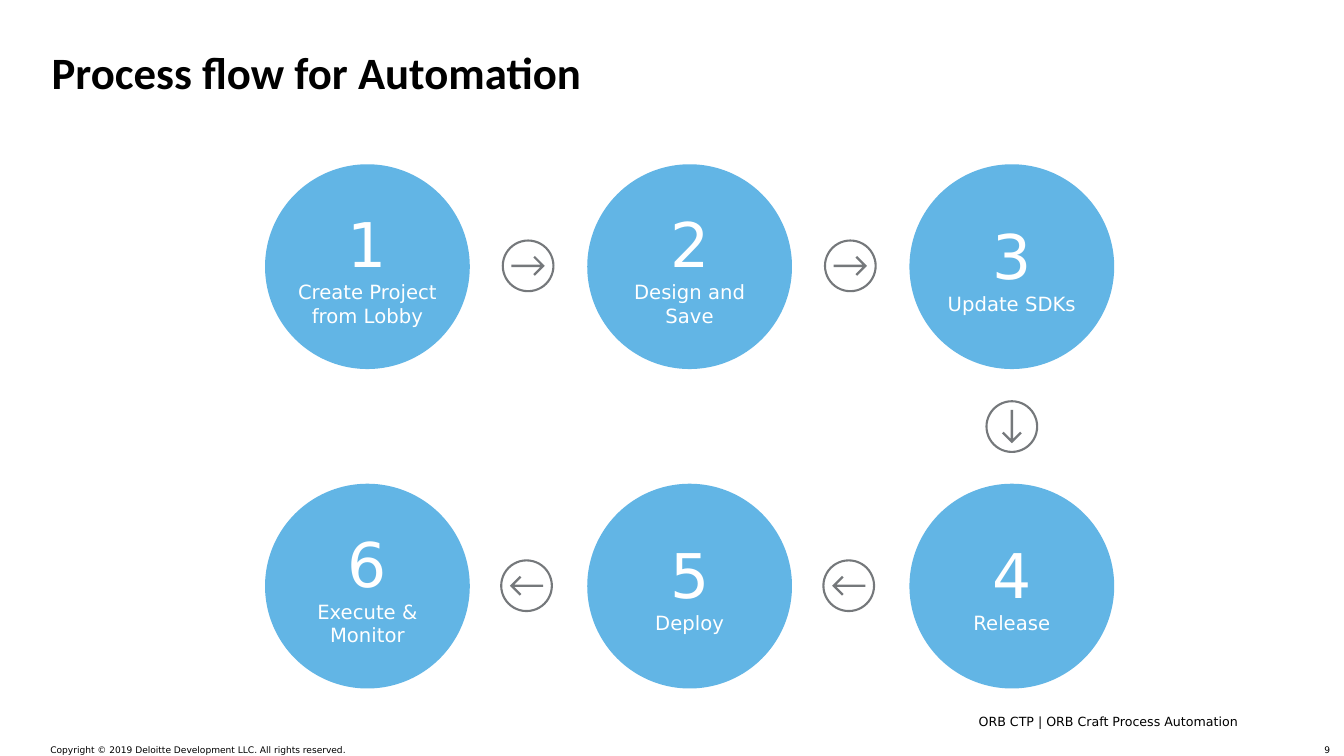
"""Build a slide with six numbered process steps joined by ringed arrows."""
import pptx
import pptx.dml.color
import pptx.enum.shapes
import pptx.enum.text
import pptx.util

Cm = pptx.util.Cm
Align = pptx.enum.text.PP_ALIGN
Anchor = pptx.enum.text.MSO_ANCHOR
Shape = pptx.enum.shapes.MSO_SHAPE


def color(hex_code):
    return pptx.dml.color.RGBColor.from_string(hex_code)


def write(shape, lines, align, anchor, hex_code):
    """Fill a shape with one paragraph per (text, font values) pair."""
    frame = shape.text_frame
    layout = {"word_wrap": True, "vertical_anchor": anchor, "margin_left": 0,
              "margin_top": 0, "margin_right": 0, "margin_bottom": 0}
    for name, value in layout.items():
        setattr(frame, name, value)
    for index, (text, values) in enumerate(lines):
        para = frame.paragraphs[0] if index == 0 else frame.add_paragraph()
        para.alignment = align
        span = para.add_run()
        span.text = text
        for name, value in values.items():
            setattr(span.font, name, value)
        span.font.color.rgb = color(hex_code)


deck = pptx.Presentation()
deck.slide_width, deck.slide_height = Cm(33.87), Cm(19.05)
page = deck.slides.add_slide(deck.slide_layouts[6])

title_font = {"name": "Calibri", "size": pptx.util.Pt(32), "bold": True}
tag_font = {"name": "DejaVu Sans", "size": pptx.util.Pt(9)}
small_font = {"name": "DejaVu Sans", "size": pptx.util.Pt(6.5)}
number_font = {"name": "DejaVu Sans", "size": pptx.util.Pt(44)}
label_font = {"name": "DejaVu Sans", "size": pptx.util.Pt(14)}

texts = [
    ("Process flow for Automation", title_font, Align.LEFT, 1.3, 1.12, 31.27, 0.94),
    ("ORB CTP | ORB Craft Process Automation", tag_font, Align.RIGHT, 17.6, 17.98, 13.59, 0.38),
    ("Copyright © 2019 Deloitte Development LLC. All rights reserved.", small_font,
     Align.LEFT, 1.27, 18.77, 14.88, 0.28),
    ("9", small_font, Align.RIGHT, 32.66, 18.77, 0.86, 0.28),
]
for text, font, align, *place in texts:
    box = page.shapes.add_textbox(*[Cm(length) for length in place])
    write(box, [(text, font)], align, Anchor.TOP, "000000")

circle_size = 5.16
column_lefts = [6.68 + 8.12 * column for column in range(3)]
row_tops = [4.14, 12.19]
places = [(left, row_tops[0]) for left in column_lefts]
places += [(left, row_tops[1]) for left in reversed(column_lefts)]
labels = ["Create Project from Lobby", "Design and Save", "Update SDKs",
          "Release", "Deploy", "Execute & Monitor"]
for number, (label, (left, top)) in enumerate(zip(labels, places), 1):
    circle = page.shapes.add_shape(
        Shape.OVAL, Cm(left), Cm(top), Cm(circle_size), Cm(circle_size))
    circle.shadow.inherit = False
    circle.fill.solid()
    circle.fill.fore_color.rgb = color("62B5E5")
    circle.line.fill.background()
    write(circle, [(str(number), number_font), (label, label_font)],
          Align.CENTER, Anchor.MIDDLE, "FFFFFF")

ring_size = 1.33
arrow_outline = [(42, 0), (17, 25), (13, 21), (31, 3), (-42, 3),
                 (-42, -3), (31, -3), (13, -21), (17, -25)]
arrows = [(13.31, 6.7, 0), (21.43, 6.7, 0), (25.5, 10.75, 90),
          (21.39, 14.76, 180), (13.27, 14.76, 180)]
for center_x, center_y, angle in arrows:
    ring = page.shapes.add_shape(
        Shape.DONUT, Cm(center_x - ring_size / 2), Cm(center_y - ring_size / 2),
        Cm(ring_size), Cm(ring_size))
    ring.adjustments[0] = 0.04
    builder = page.shapes.build_freeform(*arrow_outline[0], scale=Cm(0.01))
    builder.add_line_segments(arrow_outline[1:], close=True)
    arrow = builder.convert_to_shape(Cm(center_x), Cm(center_y))
    arrow.rotation = angle
    for part in (ring, arrow):
        part.shadow.inherit = False
        part.fill.solid()
        part.fill.fore_color.rgb = color("75787B")
        part.line.fill.background()

deck.save("out.pptx")
